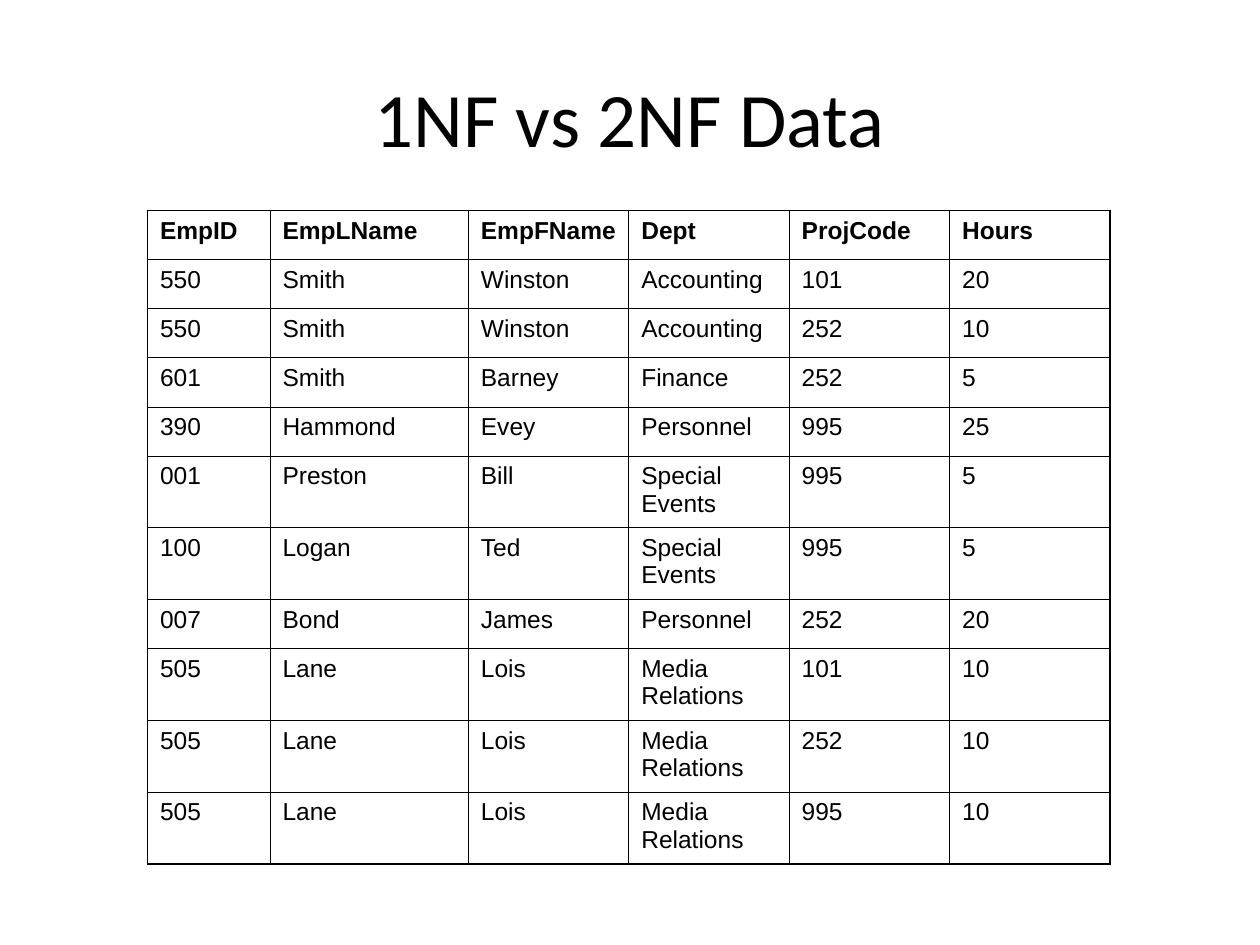
from pptx import Presentation
from pptx.dml.color import RGBColor
from pptx.enum.text import MSO_ANCHOR, PP_ALIGN
from pptx.oxml.ns import qn
from pptx.util import Inches, Pt
from lxml.etree import SubElement

BLACK = "000000"
THIN, THICK = 0.45, 1.08
WIDTHS = [0.97, 1.57, 1.27, 1.27, 1.27, 1.27]
LOW, HIGH = 0.39, 0.57  # one-line and two-line rows
ROWS = [
    ["EmpID", "EmpLName", "EmpFName", "Dept", "ProjCode", "Hours"],
    ["550", "Smith", "Winston", "Accounting", "101", "20"],
    ["550", "Smith", "Winston", "Accounting", "252", "10"],
    ["601", "Smith", "Barney", "Finance", "252", "5"],
    ["390", "Hammond", "Evey", "Personnel", "995", "25"],
    ["001", "Preston", "Bill", "Special Events", "995", "5"],
    ["100", "Logan", "Ted", "Special Events", "995", "5"],
    ["007", "Bond", "James", "Personnel", "252", "20"],
    ["505", "Lane", "Lois", "Media Relations", "101", "10"],
    ["505", "Lane", "Lois", "Media Relations", "252", "10"],
    ["505", "Lane", "Lois", "Media Relations", "995", "10"],
]


def color(code):
    return RGBColor.from_string(code)


def add_run(para, text, font, size, bold=False):
    run = para.add_run()
    run.text = text
    run.font.name = font
    run.font.size = Pt(size)
    run.font.bold = bold
    run.font.color.rgb = color(BLACK)


def add_edge(cell, side, width):
    line = SubElement(cell._tc.get_or_add_tcPr(), qn(f"a:ln{side}"), w=str(Pt(width)))
    fill = SubElement(line, qn("a:solidFill"))
    SubElement(fill, qn("a:srgbClr"), val=BLACK)


def add_title(slide, left, top, width, height):
    title = slide.shapes.title
    title.left, title.top = Inches(left), Inches(top)
    title.width, title.height = Inches(width), Inches(height)
    frame = title.text_frame
    frame.vertical_anchor = MSO_ANCHOR.MIDDLE
    para = frame.paragraphs[0]
    para.alignment = PP_ALIGN.CENTER
    add_run(para, "1NF vs 2NF Data", "Calibri", 44)


def fill_cell(cell, text, head, outer):
    cell.margin_left = cell.margin_right = Inches(0.1)
    cell.margin_top = cell.margin_bottom = Inches(0.05)
    add_run(cell.text_frame.paragraphs[0], text, "Arial", 14, head)
    for side in "LRTB":
        add_edge(cell, side, THICK if outer[side] else THIN)
    cell.fill.background()


def add_grid(slide, left, top, width, height):
    frame = slide.shapes.add_table(
        len(ROWS), len(WIDTHS),
        Inches(left), Inches(top), Inches(width), Inches(height))
    table = frame.table
    table.first_row = table.horz_banding = False

    # Columns share the box in proportion to their widths
    for col, part in zip(table.columns, WIDTHS):
        col.width = Inches(width * part / sum(WIDTHS))

    # Rows are taller where the department wraps
    for r, row in enumerate(ROWS):
        table.rows[r].height = Inches(HIGH if " " in row[3] else LOW)
        for c, text in enumerate(row):
            outer = {"L": c == 0, "R": c == len(row) - 1,
                     "T": r == 0, "B": r == len(ROWS) - 1}
            fill_cell(table.cell(r, c), text, r == 0, outer)


def main():
    deck = Presentation()
    deck.slide_width, deck.slide_height = Inches(10), Inches(7.5)
    slide = deck.slides.add_slide(deck.slide_layouts[5])
    slide.background.fill.solid()
    slide.background.fill.fore_color.rgb = color("FFFFFF")
    add_title(slide, 0.5, 0.3, 9, 1.25)
    add_grid(slide, 1.17, 1.67, 7.64, 5.18)
    deck.save("out.pptx")


if __name__ == "__main__":
    main()
